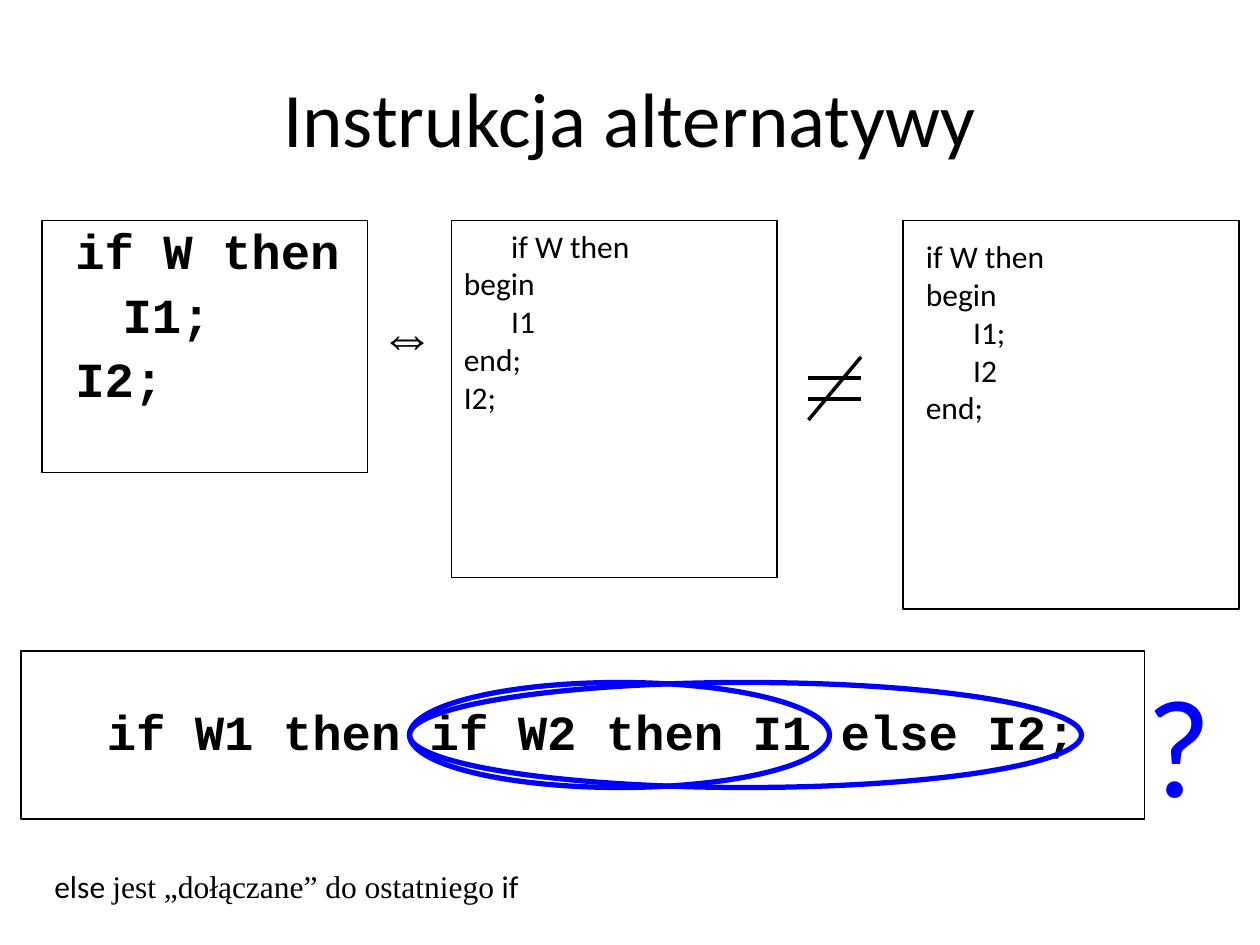
"""Builds the slide on the alternative instruction and the dangling else."""
from lxml import etree
from pptx import Presentation
from pptx import util as u
from pptx.dml.color import RGBColor
from pptx.enum import shapes, text
from pptx.oxml.ns import qn

PX = 9525
BLACK = RGBColor(0, 0, 0)
BLUE = RGBColor(0, 0, 255)
SANS, MONO, SERIF = "Calibri", "Courier New", "Times New Roman"
HANGING = 36 * PX

deck = Presentation()
deck.slide_width, deck.slide_height = 960 * PX, 720 * PX
slide = deck.slides.add_slide(deck.slide_layouts[6])


def write(box, lines, size, color=BLACK, bold=False, hanging=False, before=0, spacing=None):
    area = slide.shapes.add_textbox(*(n * PX for n in box))
    frame = area.text_frame
    frame.word_wrap = True
    for i, line in enumerate(lines):
        paragraph = frame.paragraphs[0] if i == 0 else frame.add_paragraph()
        paragraph.space_before = u.Pt(before)
        if spacing:
            paragraph.line_spacing = spacing
        if hanging:
            props = paragraph._p.get_or_add_pPr()
            props.set("marL", str(HANGING))
            props.set("indent", str(-HANGING))
        for words, font in line:
            run = paragraph.add_run()
            run.text = words
            run.font.name = font
            run.font.size = u.Pt(size)
            run.font.bold = bold
            run.font.color.rgb = color
    return frame


def outline(kind, box, color, weight):
    figure = slide.shapes.add_shape(kind, *(n * PX for n in box))
    figure.shadow.inherit = False
    figure.fill.background()
    figure.line.color.rgb = color
    figure.line.width = u.Pt(weight)


title = write((48, 29, 864, 120), [[("Instrukcja alternatywy", SANS)]], 44)
title.vertical_anchor = text.MSO_ANCHOR.MIDDLE
title.paragraphs[0].alignment = text.PP_ALIGN.CENTER

short_form = ["if W then", "\tI1;", "I2;"]
write((48, 168, 232, 160), [[(line, MONO)] for line in short_form], 28,
      bold=True, hanging=True, before=6.5, spacing=0.9)
write((72, 530, 768, 64), [[("if W1 then if W2 then I1 else I2;", MONO)]], 28,
      bold=True, hanging=True, before=6.5)

equal_form = ["\tif W then", "begin", "\tI1", "end;", "I2;"]
different_form = ["if W then", "begin", "\tI1;", "\tI2", "end;"]
for box, form in [((344, 168, 344, 192), equal_form), ((696, 176, 232, 272), different_form)]:
    write(box, [[(line, SANS)] for line in form], 18, hanging=True)

write((280, 224, 72, 60), [[("⇔", SERIF)]], 32)

for frame_box in [(32, 168, 248, 192), (344, 168, 248, 272),
                  (688, 168, 256, 296), (16, 496, 856, 128)]:
    outline(shapes.MSO_SHAPE.RECTANGLE, frame_box, BLACK, 0.75)
for reading_width in (320, 512):
    outline(shapes.MSO_SHAPE.OVAL, (312, 520, reading_width, 80), BLUE, 3)

write((864, 496, 88, 125), [[("?", SANS)]], 80, color=BLUE)
write((32, 656, 824, 50),
      [[("else ", SANS), ("jest „dołączane” do ostatniego", SERIF), (" if", SANS)]], 18)

for ends in [(616, 288, 656, 288), (616, 304, 656, 304), (656, 272, 616, 320)]:
    stroke = slide.shapes.add_connector(shapes.MSO_CONNECTOR.STRAIGHT, *(n * PX for n in ends))
    stroke.line.color.rgb = BLACK
    stroke.line.width = u.Pt(2)
    etree.SubElement(stroke._element.spPr, qn("a:effectLst"))

deck.save("out.pptx")
